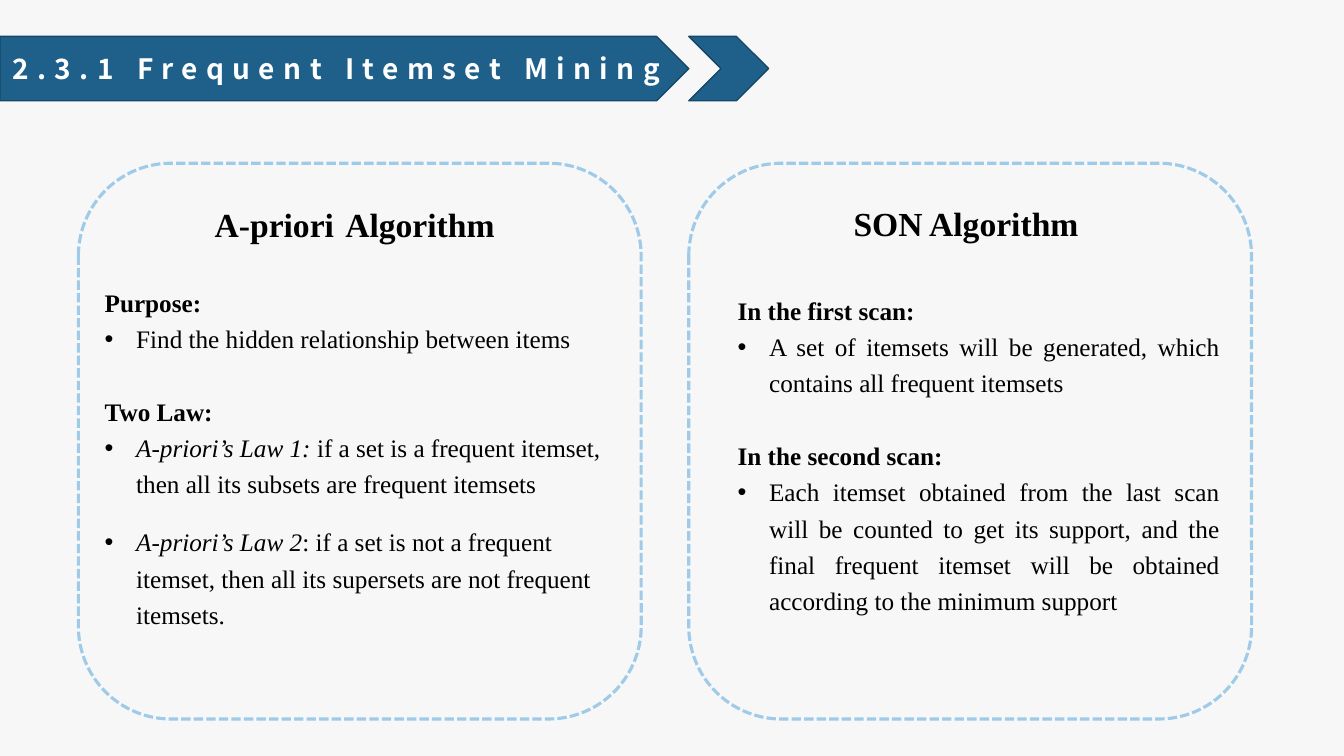
from lxml.etree import SubElement
from pptx import Presentation
from pptx.dml.color import RGBColor
from pptx.enum.dml import MSO_LINE
from pptx.enum.shapes import MSO_SHAPE as Preset
from pptx.enum.text import MSO_ANCHOR, MSO_AUTO_SIZE, PP_ALIGN as Align
from pptx.oxml.ns import qn
from pptx.util import Pt

SERIF = "Times New Roman"
SANS = "Noto Sans CJK SC"
NAVY, NAVY_EDGE, SKY = "1F608B", "174767", "9FCBE9"
BLACK, WHITE, PAPER = "000000", "FFFFFF", "F7F7F7"
LINE_SPACING = 1.2
BULLET_INDENT = 22.5
BLANK_GAP, SMALL_GAP = 26, 15.5


def color(hex_code):
    """Turn a hex string into a colour."""
    return RGBColor.from_string(hex_code)


def add_outline(slide, preset, box, edge, weight, fill=None):
    """Add a preset shape with an edge and an optional fill."""
    outline = slide.shapes.add_shape(preset, *map(Pt, box))
    outline.shadow.inherit = False
    outline.line.color.rgb = color(edge)
    outline.line.width = Pt(weight)
    if fill:
        outline.fill.solid()
        outline.fill.fore_color.rgb = color(fill)
    else:
        outline.fill.background()
    return outline


def add_run(paragraph, text, size, font=SERIF, ink=BLACK, bold=False, italic=False):
    """Append one formatted run to a paragraph."""
    run = paragraph.add_run()
    run.text = text
    run.font.size = Pt(size)
    run.font.name = font
    run.font.color.rgb = color(ink)
    run.font.bold = bold
    run.font.italic = italic
    return run


def add_bullet(paragraph):
    """Give a paragraph a round bullet with a hanging indent."""
    properties = paragraph._p.get_or_add_pPr()
    properties.set("marL", str(Pt(BULLET_INDENT)))
    properties.set("indent", str(-Pt(BULLET_INDENT)))
    SubElement(properties, qn("a:buFont"), typeface="Arial")
    SubElement(properties, qn("a:buChar"), char="•")


def add_frame(slide, box):
    """Add a wrapping text box and return its text frame."""
    frame = slide.shapes.add_textbox(*map(Pt, box)).text_frame
    frame.word_wrap = True
    frame.auto_size = MSO_AUTO_SIZE.SHAPE_TO_FIT_TEXT
    return frame


def add_heading(slide, box, pieces):
    """Add a card heading made of (text, size) pieces."""
    paragraph = add_frame(slide, box).paragraphs[0]
    paragraph.line_spacing = LINE_SPACING
    for text, size in pieces:
        add_run(paragraph, text, size, bold=True)


def add_body(slide, box, entries, align):
    """Add card text from (gap before, label, lead-in, statement) entries."""
    frame = add_frame(slide, box)
    for index, (gap, label, lead_in, statement) in enumerate(entries):
        paragraph = frame.add_paragraph() if index else frame.paragraphs[0]
        paragraph.alignment = align
        paragraph.line_spacing = LINE_SPACING
        paragraph.space_before = Pt(gap)
        if label:
            add_run(paragraph, label, 18, bold=True)
            continue
        add_bullet(paragraph)
        if lead_in:
            add_run(paragraph, lead_in, 18, italic=True)
        add_run(paragraph, statement, 18)


def add_banner(slide, title):
    """Add the title arrow and the chevron after it."""
    arrow = add_outline(slide, Preset.PENTAGON, (0, 26, 492, 46), NAVY_EDGE, 1, NAVY)
    add_outline(slide, Preset.CHEVRON, (492, 26, 57, 46), NAVY_EDGE, 1, NAVY)
    frame = arrow.text_frame
    frame.word_wrap = False
    frame.vertical_anchor = MSO_ANCHOR.MIDDLE
    paragraph = frame.paragraphs[0]
    paragraph.alignment = Align.CENTER
    run = add_run(paragraph, title, 20, SANS, WHITE, bold=True)
    run.font._element.set("spc", "600")


def add_card(slide, left):
    """Add a dashed rounded card."""
    card = add_outline(slide, Preset.ROUNDED_RECTANGLE, (left, 116.6, 402, 397), SKY, 2.25)
    card.line.dash_style = MSO_LINE.SQUARE_DOT


def main():
    """Build and save the slide."""
    deck = Presentation()
    deck.slide_width, deck.slide_height = Pt(960), Pt(540)
    slide = deck.slides.add_slide(deck.slide_layouts[6])
    slide.background.fill.solid()
    slide.background.fill.fore_color.rgb = color(PAPER)

    add_banner(slide, "2.3.1 Frequent Itemset Mining")

    add_card(slide, 56)
    add_body(slide, (67.7, 197.3, 370, 345), [
        (0, "Purpose:", "", ""),
        (0, "", "", "Find the hidden relationship between items"),
        (BLANK_GAP, "Two Law:", "", ""),
        (0, "", "A-priori’s Law 1: ",
         "if a set is a frequent itemset, then all its subsets are frequent itemsets"),
        (SMALL_GAP, "", "A-priori’s Law 2",
         ": if a set is not a frequent itemset, then all its supersets "
         "are not frequent itemsets."),
    ], Align.LEFT)
    add_heading(slide, (146.2, 126.7, 221.8, 49.7),
                [("A-priori", 24), (" ", 32), ("Algorithm", 24)])

    add_card(slide, 492)
    add_body(slide, (519.8, 203, 358.6, 240.5), [
        (0, "In the first scan:", "", ""),
        (0, "", "",
         "A set of itemsets will be generated, which contains all frequent itemsets"),
        (BLANK_GAP, "In the second scan:", "", ""),
        (0, "", "",
         "Each itemset obtained from the last scan will be counted to get its support, "
         "and the final frequent itemset will be obtained according to the minimum support"),
    ], Align.JUSTIFY)
    add_heading(slide, (602.6, 136, 180.7, 39), [("SON Algorithm", 24)])

    deck.save("out.pptx")


if __name__ == "__main__":
    main()
